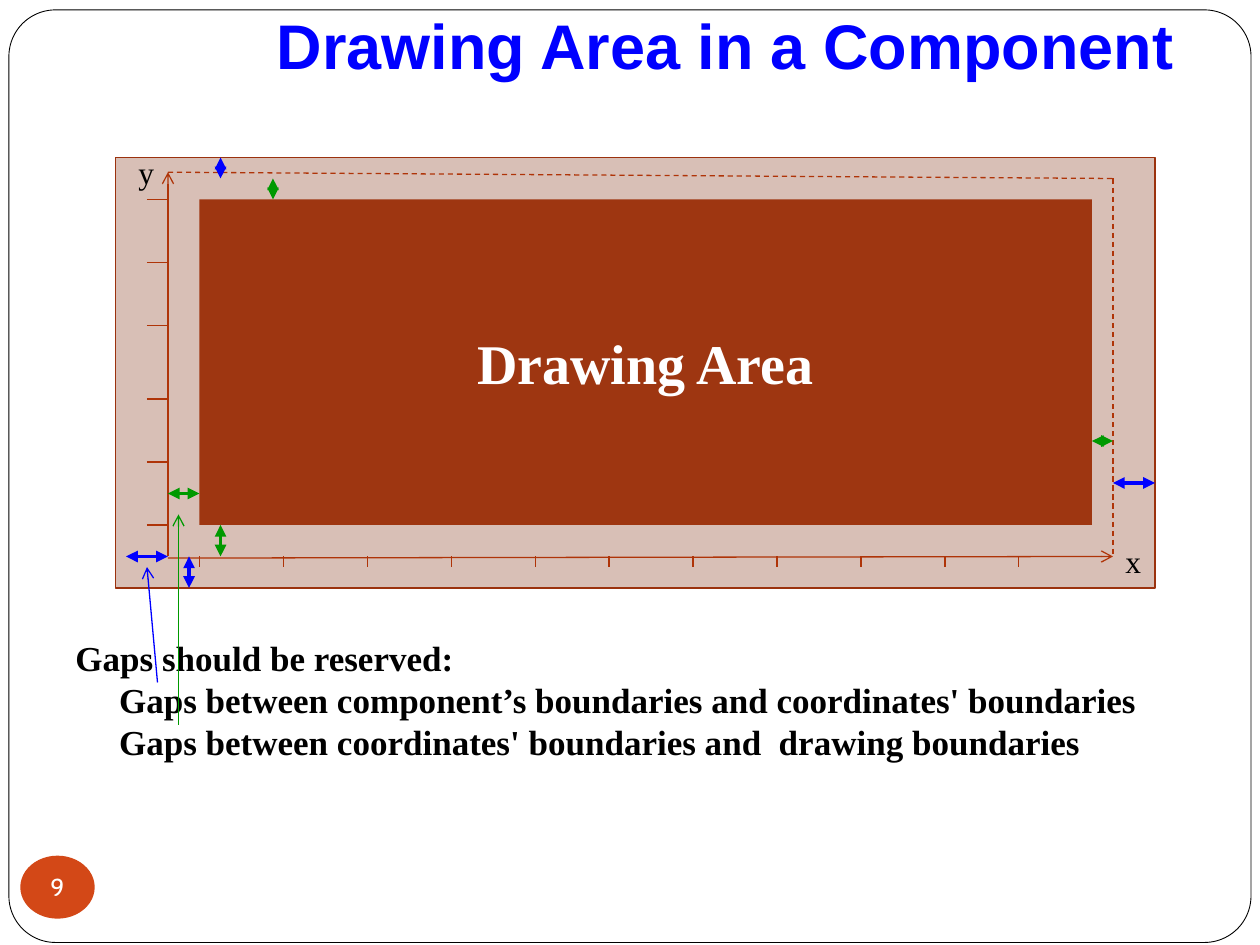
"""Build the slide that explains the drawing area inside a component."""
from dataclasses import dataclass

from lxml import etree
from pptx import Presentation
from pptx import util as u
from pptx.dml.color import RGBColor
from pptx.enum import dml, shapes, text
from pptx.oxml.ns import qn


@dataclass(frozen=True)
class Theme:
    white: str = "FFFFFF"
    black: str = "000000"
    blue: str = "0000FF"
    green: str = "009900"
    axis: str = "AF3408"
    component: str = "D8BFB6"
    border: str = "9B320E"
    area: str = "9E3611"
    badge: str = "D34817"
    serif: str = "Times New Roman"
    title_font: str = "Arial"
    badge_font: str = "Cabin"
    title_size: int = 36
    area_size: int = 32
    note_size: int = 20
    axis_size: int = 18
    badge_size: int = 14
    thin: float = 0.75
    thick: float = 2.25


THEME = Theme()
CELL = 2.54 / 12
LEFT, RIGHT, TOP, BOTTOM = 16, 106, 16.4, 53
X_TICKS = (19, 27, 35, 43, 51, 58, 66, 74, 82, 90, 97)
Y_TICKS = (19, 25, 31, 38, 44, 50)
OUTER_GAPS = ((12, 53, 16, 53), (18, 56, 18, 53), (106, 46, 110, 46), (21, 15, 21, 17))
INNER_GAPS = ((16, 47, 19, 47), (21, 50, 21, 53), (26, 17, 26, 19), (104, 42, 106, 42))


def grid(*cells):
    """Turn counts of twelfth-inch grid cells into lengths."""
    return [u.Cm(cell * CELL) for cell in cells]


def write(shape, lines, *, font, size, color, bold=False, align=text.PP_ALIGN.LEFT,
          anchor=text.MSO_ANCHOR.TOP, indent=0, wrap=True):
    """Fill a shape with formatted lines, indenting all but the first."""
    frame = shape.text_frame
    frame.word_wrap = wrap
    frame.auto_size = text.MSO_AUTO_SIZE.NONE
    frame.vertical_anchor = anchor
    frame.text = lines
    for number, paragraph in enumerate(frame.paragraphs):
        paragraph.alignment = align
        if number and indent:
            paragraph._p.get_or_add_pPr().set("marL", str(u.Cm(indent)))
        paragraph.font.name = font
        paragraph.font.size = u.Pt(size)
        paragraph.font.bold = bold
        paragraph.font.color.rgb = RGBColor.from_string(color)


def add_box(parent, kind, bounds, fill, line=None, width=1):
    """Add a flat preset shape."""
    shape = parent.shapes.add_shape(kind, *bounds)
    shape.shadow.inherit = False
    shape.fill.solid()
    shape.fill.fore_color.rgb = RGBColor.from_string(fill)
    if line:
        shape.line.color.rgb = RGBColor.from_string(line)
        shape.line.width = u.Pt(width)
    else:
        shape.line.fill.background()
    return shape


def add_label(parent, bounds, lines, **style):
    """Add a text box."""
    shape = parent.shapes.add_textbox(*bounds)
    write(shape, lines, font=THEME.serif, color=THEME.black, **style)


def add_line(parent, ends, color=THEME.axis, width=THEME.thin, head=None, tail=None, dash=False):
    """Add a straight line between grid points, with optional arrowheads."""
    connector = parent.shapes.add_connector(shapes.MSO_CONNECTOR.STRAIGHT, *grid(*ends))
    connector.line.color.rgb = RGBColor.from_string(color)
    connector.line.width = u.Pt(width)
    if dash:
        connector.line.dash_style = dml.MSO_LINE.DASH
    outline = connector.line._get_or_add_ln()
    for tag, arrow in (("a:headEnd", head), ("a:tailEnd", tail)):
        if arrow:
            etree.SubElement(outline, qn(tag)).set("type", arrow)
    etree.SubElement(connector._element.spPr, qn("a:effectLst"))


def add_frame(slide):
    """Add the rounded slide border behind everything else."""
    bounds = [u.Cm(length) for length in (0.18, 0.2, 25.04, 18.8)]
    frame = add_box(slide, shapes.MSO_SHAPE.ROUNDED_RECTANGLE, bounds,
                    THEME.white, THEME.black, 0.5)
    frame.adjustments[0] = 0.05
    slide.shapes._spTree.insert(2, frame._element)


def add_title(slide):
    """Place and format the title."""
    title = slide.shapes.title
    title.left, title.top, title.width, title.height = grid(12, 0, 101, 9)
    write(title, "Drawing Area in a Component", font=THEME.title_font,
          size=THEME.title_size, color=THEME.blue, bold=True,
          align=text.PP_ALIGN.RIGHT, anchor=text.MSO_ANCHOR.BOTTOM)
    title.text_frame.margin_bottom = u.Cm(0.25)


def add_badge(slide):
    """Add the page number in its ellipse."""
    bounds = [u.Cm(length) for length in (0.41, 17.25, 1.5, 1.27)]
    badge = add_box(slide, shapes.MSO_SHAPE.OVAL, bounds, THEME.badge)
    write(badge, "9", font=THEME.badge_font, size=THEME.badge_size, color=THEME.white,
          align=text.PP_ALIGN.CENTER, anchor=text.MSO_ANCHOR.MIDDLE, wrap=False)
    frame = badge.text_frame
    frame.margin_left = frame.margin_right = frame.margin_top = frame.margin_bottom = 0


def add_diagram(slide):
    """Draw the component, its axes, the drawing area and the gaps."""
    group = slide.shapes.add_group_shape()
    rectangle = shapes.MSO_SHAPE.RECTANGLE
    add_box(group, rectangle, grid(11, 15, 99, 41), THEME.component, THEME.border)
    add_line(group, (LEFT, BOTTOM, LEFT, TOP), tail="arrow")
    add_line(group, (LEFT, BOTTOM + 0.15, RIGHT, BOTTOM), tail="arrow")
    area = add_box(group, rectangle, grid(19, 19, 85, 31), THEME.area)
    write(area, "Drawing Area", font=THEME.serif, size=THEME.area_size, color=THEME.white,
          bold=True, align=text.PP_ALIGN.CENTER, anchor=text.MSO_ANCHOR.MIDDLE)
    for name, left, top in (("x", RIGHT, 51), ("y", 12, 14)):
        add_label(group, grid(left, top, 4, 4.8), name, size=THEME.axis_size)
    for tick in X_TICKS:
        add_line(group, (tick, BOTTOM, tick, BOTTOM + 1))
    for tick in Y_TICKS:
        add_line(group, (LEFT - 2, tick, LEFT, tick))
    add_line(group, (LEFT, TOP, RIGHT, 17), dash=True)
    add_line(group, (RIGHT, 17, RIGHT, BOTTOM), dash=True)
    for gaps, color in ((OUTER_GAPS, THEME.blue), (INNER_GAPS, THEME.green)):
        for ends in gaps:
            add_line(group, ends, color, THEME.thick, head="triangle", tail="triangle")


def add_notes_on_gaps(slide):
    """Add the explanation of the gaps."""
    lines = ("Gaps should be reserved:",
             "Gaps between component’s boundaries and coordinates' boundaries",
             "Gaps between coordinates' boundaries and  drawing boundaries")
    add_label(slide, grid(6, 60, 104, 21.2), "\n".join(lines),
              size=THEME.note_size, bold=True, indent=0.88)


def main():
    """Build and save the presentation."""
    presentation = Presentation()
    presentation.slide_width, presentation.slide_height = u.Cm(25.4), u.Cm(19.05)
    slide = presentation.slides.add_slide(presentation.slide_layouts[5])
    add_frame(slide)
    add_title(slide)
    add_badge(slide)
    add_notes_on_gaps(slide)
    add_diagram(slide)
    add_line(slide, (15, 65, 14, 54), THEME.blue, tail="arrow")
    add_line(slide, (17, 69, 17, 49), THEME.green, tail="arrow")
    presentation.save("out.pptx")


if __name__ == "__main__":
    main()
